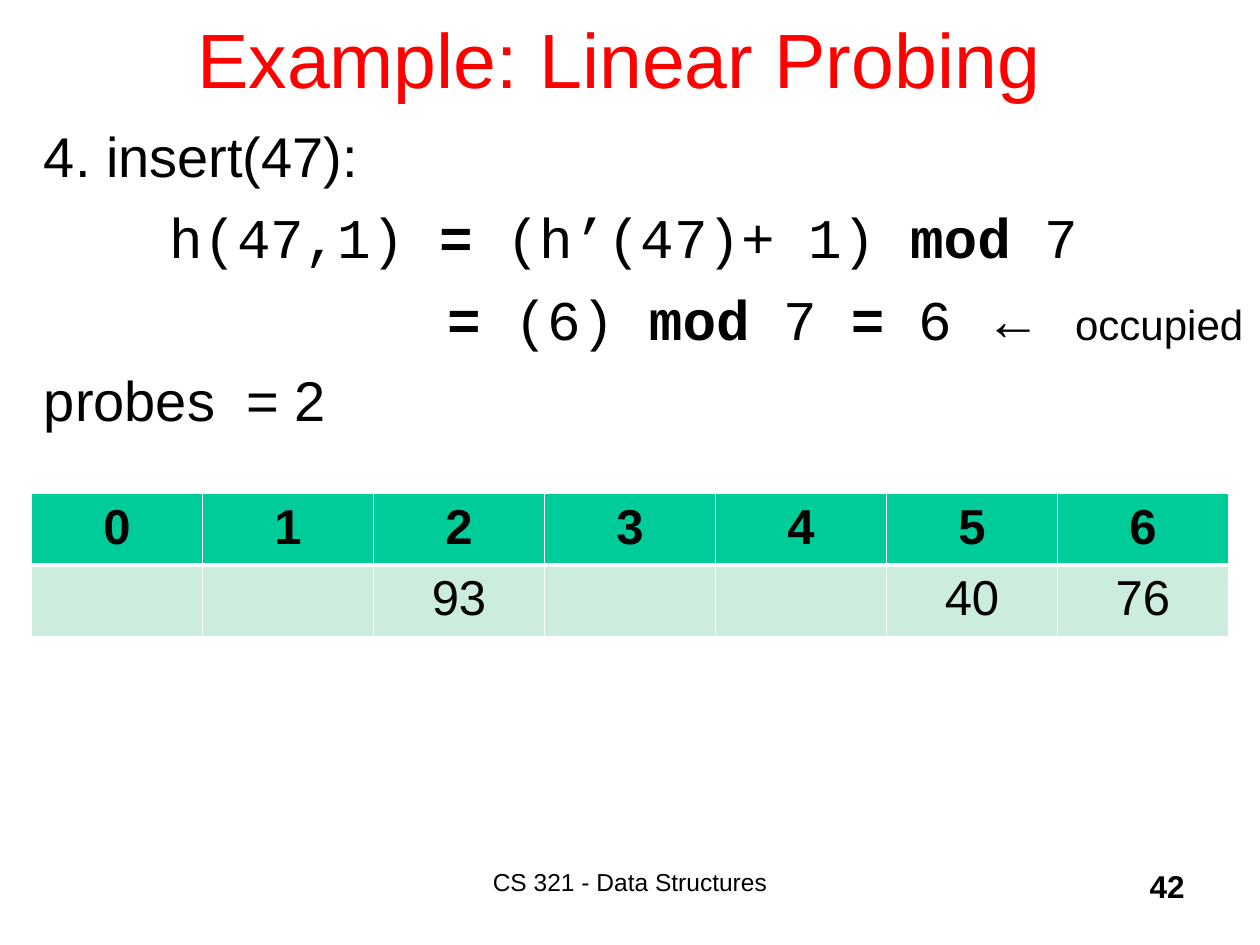
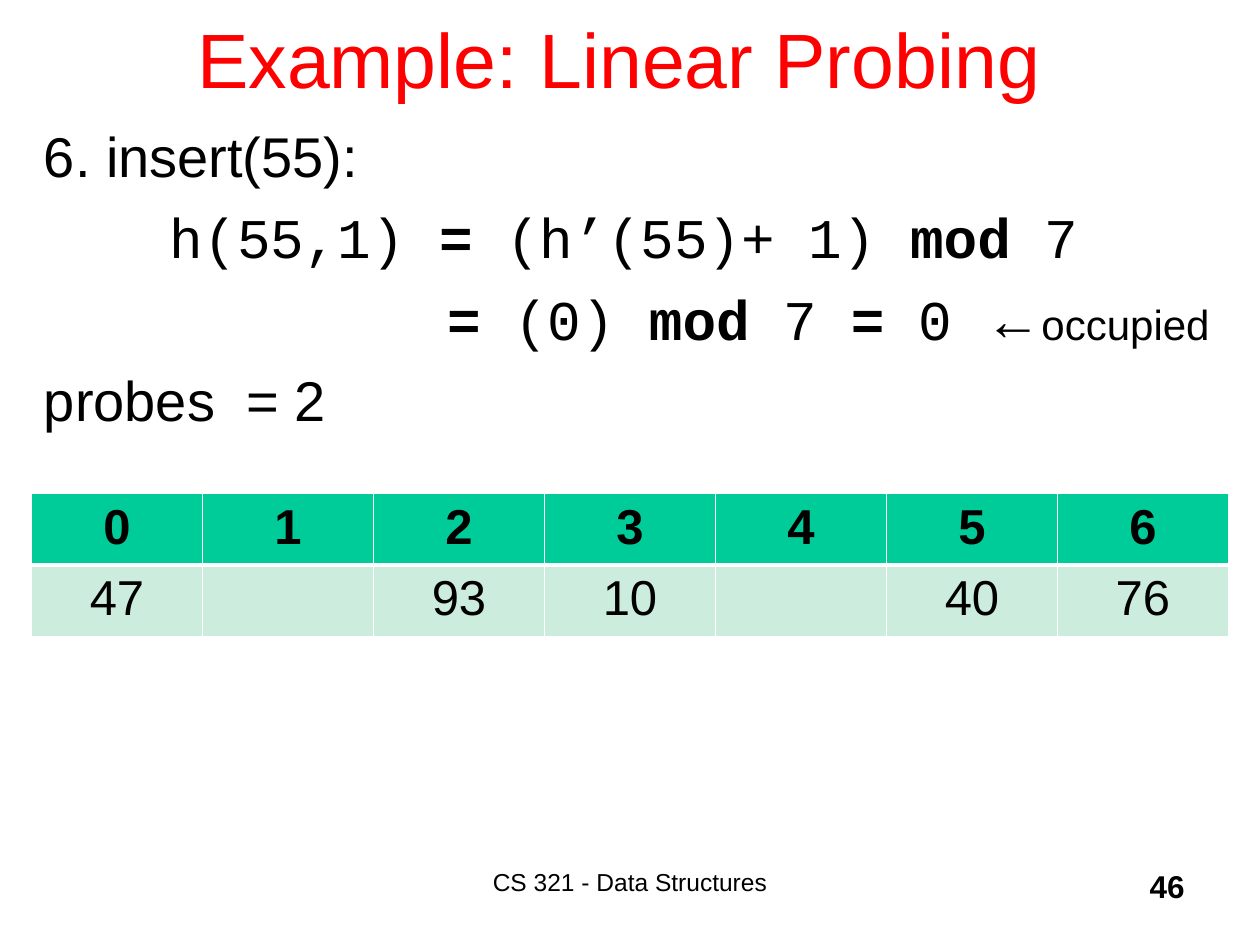
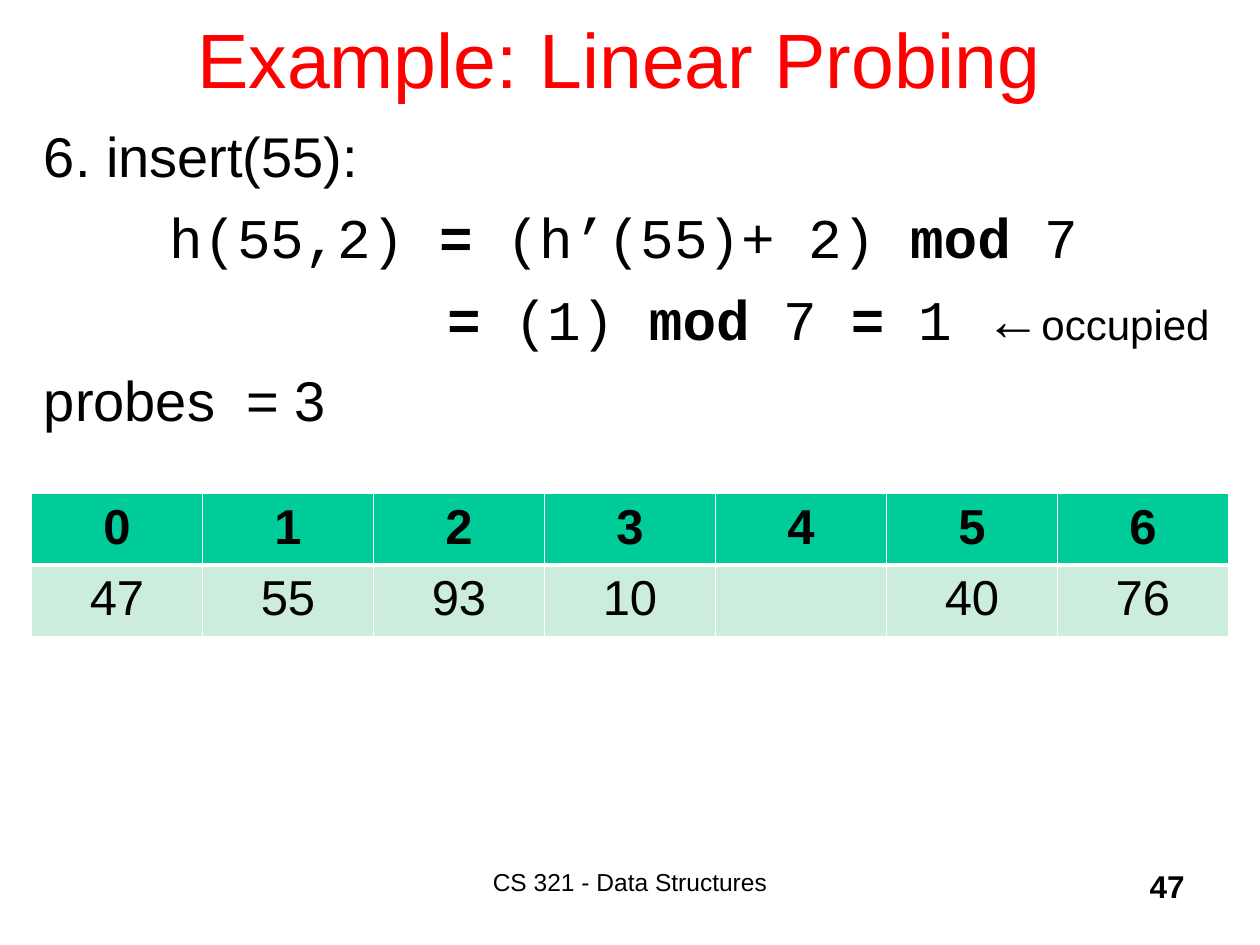
from lxml import etree
from pptx import Presentation
from pptx.dml.color import RGBColor
from pptx.enum.text import MSO_ANCHOR, PP_ALIGN
from pptx.oxml.ns import qn
from pptx.util import Inches, Pt

LEFT, CENTER, RIGHT = PP_ALIGN.LEFT, PP_ALIGN.CENTER, PP_ALIGN.RIGHT
TOP, MIDDLE = MSO_ANCHOR.TOP, MSO_ANCHOR.MIDDLE

# The grid has 120 columns and 90 rows of a twelfth of an inch
CELL = Inches(1) // 12
COLUMNS, ROWS = 120, 90
SLOTS = range(7)

SANS, MONO = "Arial", "Courier New"
BLACK, RED, WHITE = "000000", "FF0000", "FFFFFF"
HEADER_GREEN, PALE_GREEN = "00CC99", "CCECDE"

BODY = {"name": SANS, "size": Pt(32), "bold": False}
CODE = {**BODY, "name": MONO}
CODE_BOLD = {**CODE, "bold": True}
REMARK = {**BODY, "size": Pt(24)}
TITLE = {**BODY, "size": Pt(44)}
FOOTER = {**BODY, "size": Pt(14)}
PAGE_NUMBER = {**BODY, "size": Pt(18), "bold": True}
KEY = {**BODY, "size": Pt(28)}
SLOT_INDEX = {**KEY, "bold": True}


def rgb(hex_colour):
    return RGBColor.from_string(hex_colour)


def code_runs(source):
    """Split code into runs; parts between asterisks are bold."""
    return [(part, CODE_BOLD if i % 2 else CODE)
            for i, part in enumerate(source.split("*")) if part]


class Deck:
    def __init__(self):
        self.prs = Presentation()
        self.prs.slide_width = COLUMNS * CELL
        self.prs.slide_height = ROWS * CELL
        self.slide = None

    def new_slide(self, title, footer, page):
        self.slide = self.prs.slides.add_slide(self.prs.slide_layouts[6])
        self.text((9, -2, 102, 15), [(0, [(title, TITLE)])], CENTER, RED, MIDDLE)
        self.text((37, 82, 46, 6), [(0, [(footer, FOOTER)])], CENTER)
        self.text((89, 82, 25, 6), [(0, [(str(page), PAGE_NUMBER)])], RIGHT)

    def add_runs(self, paragraph, runs, align, colour=BLACK):
        paragraph.alignment = align
        for words, style in runs:
            run = paragraph.add_run()
            run.text = words
            for attribute, value in style.items():
                setattr(run.font, attribute, value)
            run.font.color.rgb = rgb(colour)

    def text(self, box, lines, align=LEFT, colour=BLACK, anchor=TOP, gap=0):
        """Add lines given as (indent in inches, runs)."""
        frame = self.slide.shapes.add_textbox(*(n * CELL for n in box)).text_frame
        frame.word_wrap = True
        frame.vertical_anchor = anchor
        for i, (indent, runs) in enumerate(lines):
            paragraph = frame.add_paragraph() if i else frame.paragraphs[0]
            paragraph.space_before = Pt(gap)
            if indent:
                properties = paragraph._p.get_or_add_pPr()
                properties.set("marL", str(Inches(indent)))
                properties.set("indent", "0")
            self.add_runs(paragraph, runs, align, colour)

    def border(self, cell, widths):
        properties = cell._tc.get_or_add_tcPr()
        for side, width in widths.items():
            line = etree.SubElement(properties, qn(f"a:ln{side}"), w=str(Pt(width)))
            fill = etree.SubElement(line, qn("a:solidFill"))
            etree.SubElement(fill, qn("a:srgbClr"), val=WHITE)

    def hash_table(self, box, keys):
        rows = [(SLOT_INDEX, HEADER_GREEN, {slot: slot for slot in SLOTS},
                 {"L": 1, "R": 1, "T": 1, "B": 3}),
                (KEY, PALE_GREEN, keys, {"L": 1, "R": 1, "T": 3, "B": 1})]
        table = self.slide.shapes.add_table(
            len(rows), len(SLOTS), *(n * CELL for n in box)).table
        table.horz_banding = False
        for r, (style, fill, values, widths) in enumerate(rows):
            for slot in SLOTS:
                cell = table.cell(r, slot)
                self.border(cell, widths)
                cell.fill.solid()
                cell.fill.fore_color.rgb = rgb(fill)
                if slot in values:
                    self.add_runs(cell.text_frame.paragraphs[0],
                                  [(str(values[slot]), style)], CENTER)

    def probe_step(self, step, key, attempt, slot, keys, width, remark_gap):
        """Show one probe of an insertion and the table at that point."""
        occupied = [("←", BODY), *code_runs(remark_gap), ("occupied", REMARK)]
        self.text((3, 11, width, 32), [
            (0, [(f"{step}. insert({key}):", BODY)]),
            (1, code_runs(f"h({key},{attempt}) *=* (h’({key})+ {attempt}) *mod *7")),
            (3.2, code_runs(f"*=* ({slot}) *mod* 7 *=* {slot} ") + occupied),
            (0, [(f"probes  = {attempt + 1}", BODY)]),
        ], gap=8)
        self.hash_table((3, 47, 114, 10), keys)


# Page, step, key, attempt, probed slot, stored keys, text width, gap before remark
FIRST_KEYS = {2: 93, 5: 40, 6: 76}
LATER_KEYS = {**FIRST_KEYS, 0: 47, 3: 10}
PROBES = [
    (42, 4, 47, 1, 6, FIRST_KEYS, 118, " "),
    (46, 6, 55, 1, 0, LATER_KEYS, 116, ""),
    (47, 6, 55, 2, 1, {**LATER_KEYS, 1: 55}, 116, ""),
]


def main():
    deck = Deck()
    for page, *probe in PROBES:
        deck.new_slide("Example: Linear Probing ", "CS 321 - Data Structures", page)
        deck.probe_step(*probe)
    deck.prs.save("out.pptx")


if __name__ == "__main__":
    main()
